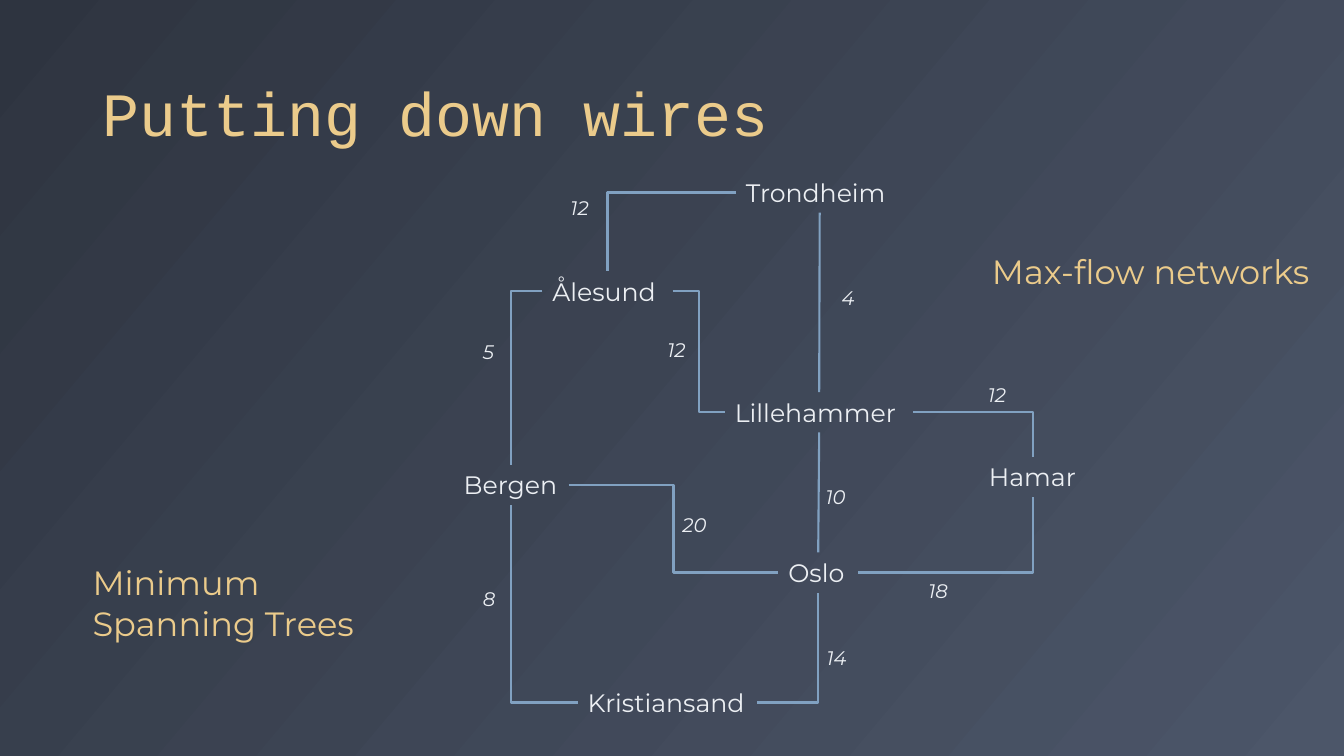
from lxml import etree
from pptx import Presentation
from pptx.dml.color import RGBColor
from pptx.enum import shapes, text
from pptx.oxml import ns
from pptx.util import Inches, Pt

NIGHT = RGBColor(0x2E, 0x34, 0x40)
SLATE = RGBColor(0x4C, 0x56, 0x69)
SNOW = RGBColor(0xEC, 0xEF, 0xF3)
SAND = RGBColor(0xEB, 0xCB, 0x8B)
FROST = RGBColor(0x81, 0xA1, 0xC1)

# Connection sites of a rectangle
TOP, LEFT, BOTTOM, RIGHT = range(4)

# name: left, top, width
CITIES = {
    "Bergen": (4.5, 4.61, 1.14),
    "Kristiansand": (5.73, 6.77, 1.78),
    "Ålesund": (5.38, 2.69, 1.29),
    "Trondheim": (7.3, 1.71, 1.66),
    "Lillehammer": (7.19, 3.89, 1.87),
    "Hamar": (9.71, 4.53, 1.07),
    "Oslo": (7.72, 5.48, 0.79),
}

# Corner wires leave the first city sideways and reach the second vertically
WIRES = [
    ("Ålesund", LEFT, "Bergen", TOP),
    ("Kristiansand", LEFT, "Bergen", BOTTOM),
    ("Kristiansand", RIGHT, "Oslo", BOTTOM),
    ("Oslo", RIGHT, "Hamar", BOTTOM),
    ("Trondheim", LEFT, "Ålesund", TOP),
    ("Trondheim", BOTTOM, "Lillehammer", TOP),
    ("Lillehammer", RIGHT, "Hamar", TOP),
    ("Oslo", TOP, "Lillehammer", BOTTOM),
    ("Ålesund", RIGHT, "Lillehammer", LEFT),
    ("Bergen", RIGHT, "Oslo", LEFT),
]

# cost, left, top, width
COSTS = [
    ("4", 8.25, 2.79, 0.33),
    ("12", 5.56, 1.89, 0.38),
    ("5", 4.69, 3.32, 0.31),
    ("8", 4.69, 5.77, 0.33),
    ("20", 6.67, 5.04, 0.44),
    ("12", 6.52, 3.3, 0.38),
    ("12", 9.7, 3.75, 0.38),
    ("18", 9.11, 5.69, 0.4),
    ("14", 8.1, 6.36, 0.4),
    ("10", 8.09, 4.76, 0.4),
]


class Sheet:
    """The current slide together with its fonts and line style."""

    title_font = "Courier New"
    body_font = "Montserrat"
    wire_width = Pt(1.5)

    def __init__(self, deck):
        self.page = deck.slides.add_slide(deck.slide_layouts.get_by_name("Title Only"))

    def background(self, start, end, angle):
        fill = self.page.background.fill
        fill.gradient()
        fill.gradient_angle = angle
        for stop, position, color in zip(fill.gradient_stops, (0, 1), (start, end)):
            stop.position = position
            stop.color.rgb = color

    def style(self, para, name, size, color, italic=False):
        para.alignment = text.PP_ALIGN.LEFT
        font = para.font
        font.name, font.size, font.italic = name, Pt(size), italic
        font.color.rgb = color

    def title(self, words, left, top, width, height):
        box = self.page.shapes.title
        box.left, box.top = Inches(left), Inches(top)
        box.width, box.height = Inches(width), Inches(height)
        frame = box.text_frame
        frame.text = words
        frame.auto_size = text.MSO_AUTO_SIZE.NONE
        frame.vertical_anchor = text.MSO_ANCHOR.BOTTOM
        para = frame.paragraphs[0]
        para.line_spacing = 0.9
        self.style(para, self.title_font, 44, SAND)

    def label(self, words, left, top, width, height, size, color, italic=False):
        box = self.page.shapes.add_textbox(
            Inches(left), Inches(top), Inches(width), Inches(height))
        frame = box.text_frame
        frame.text = words
        frame.word_wrap = False
        frame.auto_size = text.MSO_AUTO_SIZE.SHAPE_TO_FIT_TEXT
        for para in frame.paragraphs:
            self.style(para, self.body_font, size, color, italic)
        return box

    def wire(self, start, start_site, end, end_site):
        """Join two boxes: straight if vertical, else with one or two bends."""
        sideways = [site in (LEFT, RIGHT) for site in (start_site, end_site)]
        kind = shapes.MSO_CONNECTOR.ELBOW if any(sideways) else shapes.MSO_CONNECTOR.STRAIGHT
        line = self.page.shapes.add_connector(kind, 0, 0, 0, 0)
        line.begin_connect(start, start_site)
        line.end_connect(end, end_site)
        line.line.color.rgb = FROST
        line.line.width = self.wire_width
        properties = line._element.spPr
        if any(sideways) and not all(sideways):
            properties.find(ns.qn("a:prstGeom")).set("prst", "bentConnector2")
        etree.SubElement(properties, ns.qn("a:effectLst"))


def main():
    deck = Presentation()
    deck.slide_width, deck.slide_height = Inches(13.33), Inches(7.5)
    sheet = Sheet(deck)
    sheet.background(NIGHT, SLATE, 320)
    sheet.title("Putting down wires", 0.92, 0.18, 11.5, 1.36)
    cities = {name: sheet.label(name, *place, 0.4, 18, SNOW)
              for name, place in CITIES.items()}
    for start, start_site, end, end_site in WIRES:
        sheet.wire(cities[start], start_site, cities[end], end_site)
    for cost, *place in COSTS:
        sheet.label(cost, *place, 0.34, 14, SNOW, italic=True)
    sheet.label("Max-flow networks", 9.74, 2.44, 3.4, 0.5, 24, SAND)
    sheet.label("Minimum\nSpanning Trees", 0.82, 5.53, 2.83, 0.91, 24, SAND)
    deck.save("out.pptx")


if __name__ == "__main__":
    main()
